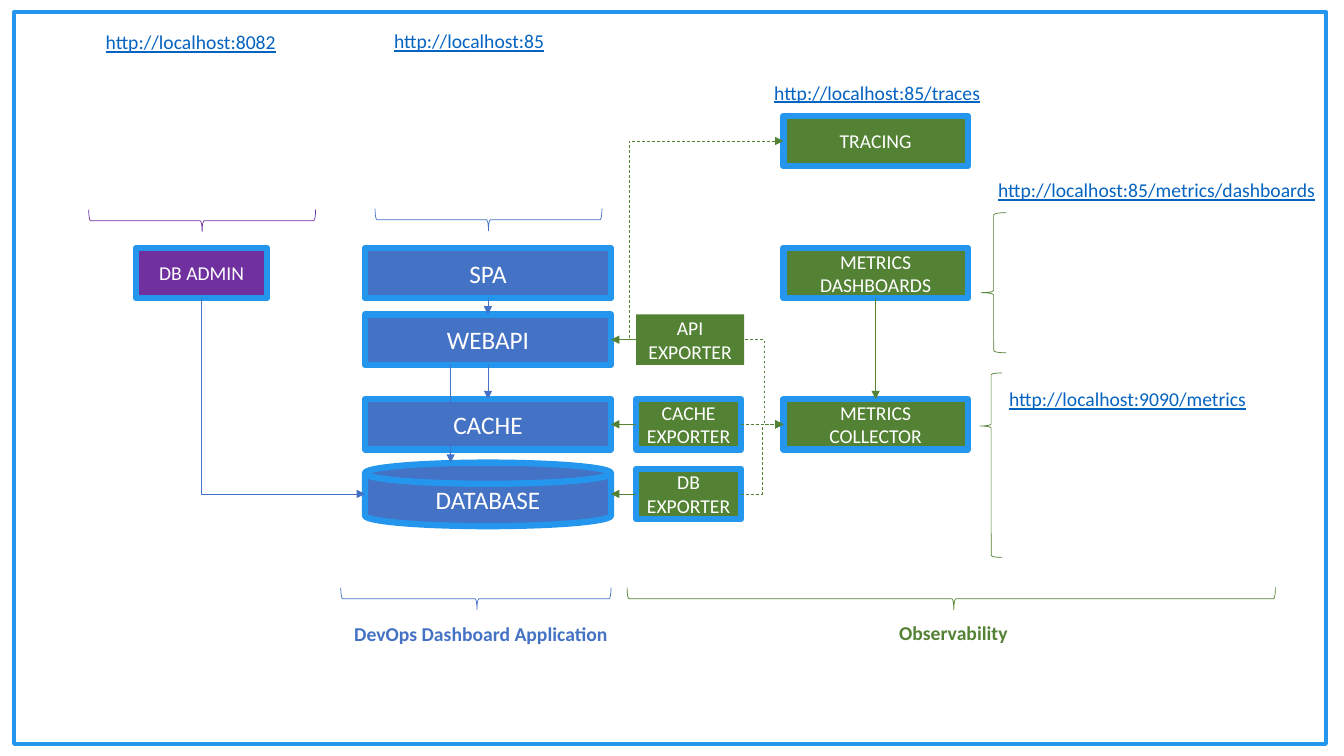
from lxml.etree import SubElement
from pptx import Presentation
from pptx.dml.color import RGBColor
from pptx.enum.dml import MSO_LINE
from pptx.enum.shapes import MSO_CONNECTOR as Connector, MSO_SHAPE as Shape
from pptx.enum.text import MSO_ANCHOR as Anchor, PP_ALIGN as Align
from pptx.oxml.ns import qn
from pptx.util import Inches, Pt

COLOURS = {"blue": "4472C4", "frame": "2496ED", "green": "548235",
           "purple": "7030A0", "link": "0563C1", "white": "FFFFFF"}
# Columns as (left, width); rows as tops of boxes of equal height
ADMIN, APP, EXPORTER, METRICS = (1.35, 1.3), (3.62, 2.44), (6.31, 1.04), (7.77, 1.83)
TRACE_ROW, TOP_ROW, API_ROW, CACHE_ROW, DB_ROW = 1.15, 2.46, 3.12, 3.96, 4.65
BOX_HEIGHT = 0.5
HALF = BOX_HEIGHT / 2
APP_RIGHT = APP[0] + APP[1]
EXPORTER_RIGHT = EXPORTER[0] + EXPORTER[1]
APP_MIDDLE, ADMIN_MIDDLE, METRICS_MIDDLE = (
    left + width / 2 for left, width in (APP, ADMIN, METRICS))


def colour(name):
    return RGBColor.from_string(COLOURS[name])


def write(shape, text, size, ink, align):
    """Fill the shape with one formatted paragraph and return its font."""
    frame = shape.text_frame
    frame.word_wrap = True
    frame.text = text
    para = frame.paragraphs[0]
    para.alignment = align
    font = para.runs[0].font
    font.name, font.size = "Calibri", Pt(size)
    font.color.rgb = colour(ink)
    return font


deck = Presentation()
deck.slide_width, deck.slide_height = Inches(13.33), Inches(7.5)
page = deck.slides.add_slide(deck.slide_layouts[6])

# Outer frame
border = page.shapes.add_shape(
    Shape.RECTANGLE, Inches(0.14), Inches(0.12), Inches(13.01), Inches(7.26))
border.shadow.inherit = False
border.fill.background()
border.line.color.rgb = colour("frame")
border.line.width = Pt(3)

# Components: text, column, row, fill, text size
components = [
    ("SPA", APP, TOP_ROW, "blue", 18),
    ("WEBAPI", APP, API_ROW, "blue", 18),
    ("CACHE", APP, CACHE_ROW, "blue", 18),
    ("DATABASE", APP, 4.59, "blue", 18),
    ("API EXPORTER", (6.31, 1.07), API_ROW, "green", 14),
    ("CACHE EXPORTER", EXPORTER, CACHE_ROW, "green", 14),
    ("DB EXPORTER", EXPORTER, DB_ROW, "green", 14),
    ("DB ADMIN", ADMIN, TOP_ROW, "purple", 14),
    ("TRACING", METRICS, TRACE_ROW, "green", 14),
    ("METRICS DASHBOARDS", METRICS, TOP_ROW, "green", 14),
    ("METRICS COLLECTOR", METRICS, CACHE_ROW, "green", 14),
]
for text, (left, width), top, fill, size in components:
    is_database = text == "DATABASE"
    box = page.shapes.add_shape(
        Shape.FLOWCHART_MAGNETIC_DISK if is_database else Shape.RECTANGLE,
        Inches(left), Inches(top), Inches(width),
        Inches(0.63 if is_database else BOX_HEIGHT))
    box.shadow.inherit = False
    box.fill.solid()
    box.fill.fore_color.rgb = colour(fill)
    if text == "API EXPORTER":
        box.line.fill.background()
    else:
        box.line.color.rgb = colour("frame")
        box.line.width = Pt(4.5)
    box.text_frame.vertical_anchor = Anchor.MIDDLE
    write(box, text, size, "white", Align.CENTER)

# Arrows: start, end, colour, dashed, share of the width where an elbow turns
api_y, cache_y, db_y = (row + HALF for row in (API_ROW, CACHE_ROW, DB_ROW))
top_bottom, api_bottom = TOP_ROW + BOX_HEIGHT, API_ROW + BOX_HEIGHT
collector = (METRICS[0], cache_y)
arrows = [
    ((APP_MIDDLE, top_bottom), (APP_MIDDLE, API_ROW), "blue", False, None),
    ((APP_MIDDLE, api_bottom), (APP_MIDDLE, CACHE_ROW), "blue", False, None),
    ((4.47, api_bottom), (4.47, 4.59), "blue", False, None),
    ((ADMIN_MIDDLE, top_bottom), (APP[0], db_y), "blue", False, 0),
    ((METRICS_MIDDLE, top_bottom), (METRICS_MIDDLE, CACHE_ROW), "green", False, None),
    ((EXPORTER_RIGHT, db_y), collector, "green", True, 0.5),
    ((7.39, api_y), collector, "green", True, 0.5),
    ((EXPORTER_RIGHT, cache_y), collector, "green", True, None),
    ((APP_RIGHT, api_y), (METRICS[0], TRACE_ROW + HALF), "green", True, 0.107),
]
arrows += [((EXPORTER[0], y), (APP_RIGHT, y), "green", False, None)
           for y in (api_y, cache_y, db_y)]
for start, end, ink, dashed, turn in arrows:
    kind = Connector.STRAIGHT if turn is None else Connector.ELBOW
    arrow = page.shapes.add_connector(kind, *map(Inches, start + end))
    arrow.line.color.rgb = colour(ink)
    arrow.line.width = Pt(0.5)
    if dashed:
        arrow.line.dash_style = MSO_LINE.DASH
    properties = arrow.element.spPr
    if turn is not None:
        guides = properties.find(qn("a:prstGeom")).get_or_add_avLst()
        SubElement(guides, qn("a:gd"), name="adj1", fmla=f"val {round(turn * 100000)}")
    SubElement(properties.find(qn("a:ln")), qn("a:tailEnd"), type="triangle")
    SubElement(properties, qn("a:effectLst"))

# Braces: left, top, width, height as seen, colour, share where the tip sits
braces = [
    (0.88, 2.08, 2.25, 0.22, "purple", 0.5),
    (3.72, 2.07, 2.25, 0.22, "blue", 0.5),
    (3.38, 5.83, 2.68, 0.22, "blue", 0.504),
    (6.22, 5.83, 6.43, 0.22, "green", 0.504),
    (9.73, 2.11, 0.25, 1.39, "green", 0.571),
    (9.72, 3.7, 0.22, 1.83, "green", 0.288),
]
for left, top, width, height, ink, tip in braces:
    lying = width > height
    if lying:  # a turned shape keeps its centre and swaps its sides
        left, top = left + (width - height) / 2, top + (height - width) / 2
        width, height = height, width
    brace = page.shapes.add_shape(
        Shape.LEFT_BRACE, *map(Inches, (left, top, width, height)))
    brace.rotation = 270 if lying else 0
    brace.adjustments[0], brace.adjustments[1] = 0.083, tip
    brace.shadow.inherit = False
    brace.fill.background()
    brace.line.color.rgb = colour(ink)
    brace.line.width = Pt(0.5)

# Addresses and group captions: text, left, top, width, colour, alignment
labels = [
    ("http://localhost:8082", 0.95, 0.25, 1.9, "link", Align.LEFT),
    ("http://localhost:85", 3.81, 0.24, 2, "link", Align.LEFT),
    ("http://localhost:85/traces", 7.58, 0.75, 3.39, "link", Align.LEFT),
    ("http://localhost:85/metrics/dashboards", 9.8, 1.72, 3.39, "link", Align.LEFT),
    ("http://localhost:9090/metrics", 9.91, 3.79, 2.99, "link", Align.LEFT),
    ("DevOps Dashboard Application", 3.14, 6.12, 3.26, "blue", Align.CENTER),
    ("Observability", 8.82, 6.11, 1.57, "green", Align.LEFT),
]
for text, left, top, width, ink, align in labels:
    label = page.shapes.add_textbox(*map(Inches, (left, top, width, 0.34)))
    font = write(label, text, 14, ink, align)
    font.underline = ink == "link"
    font.bold = ink != "link"

deck.save("out.pptx")
